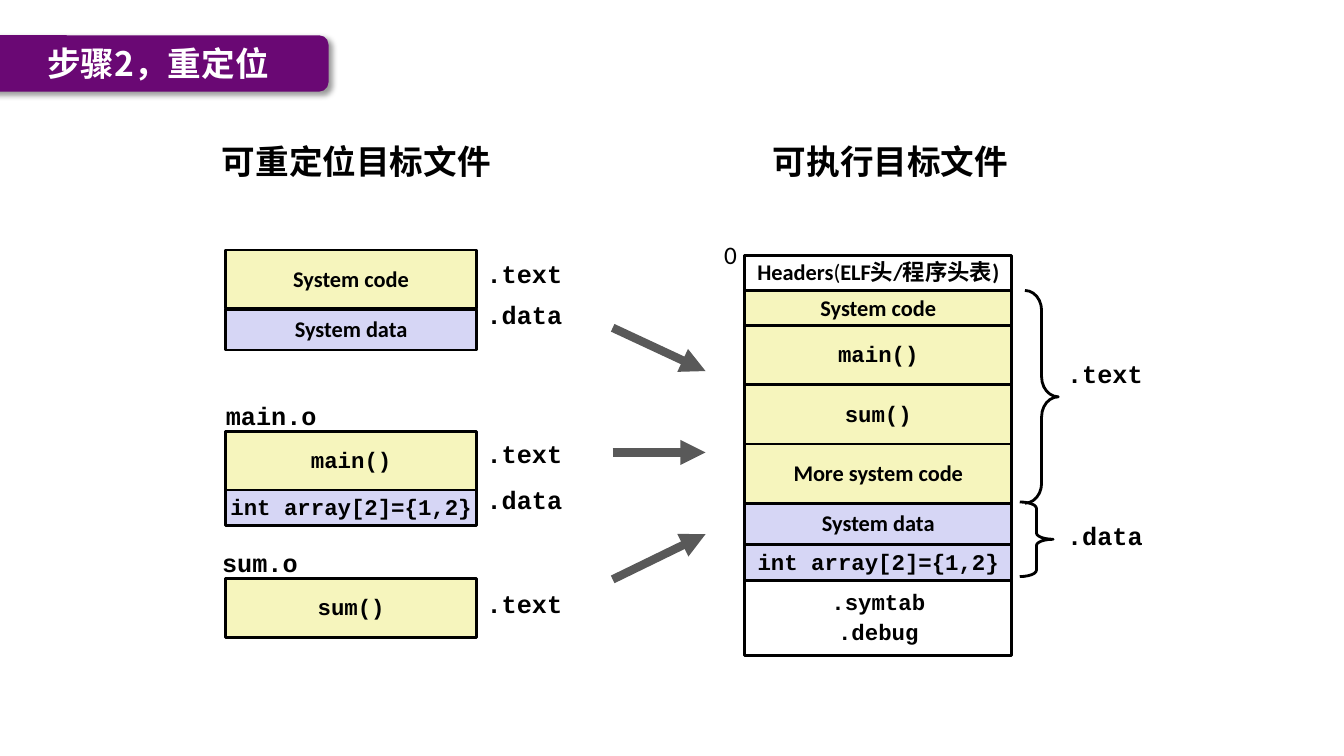
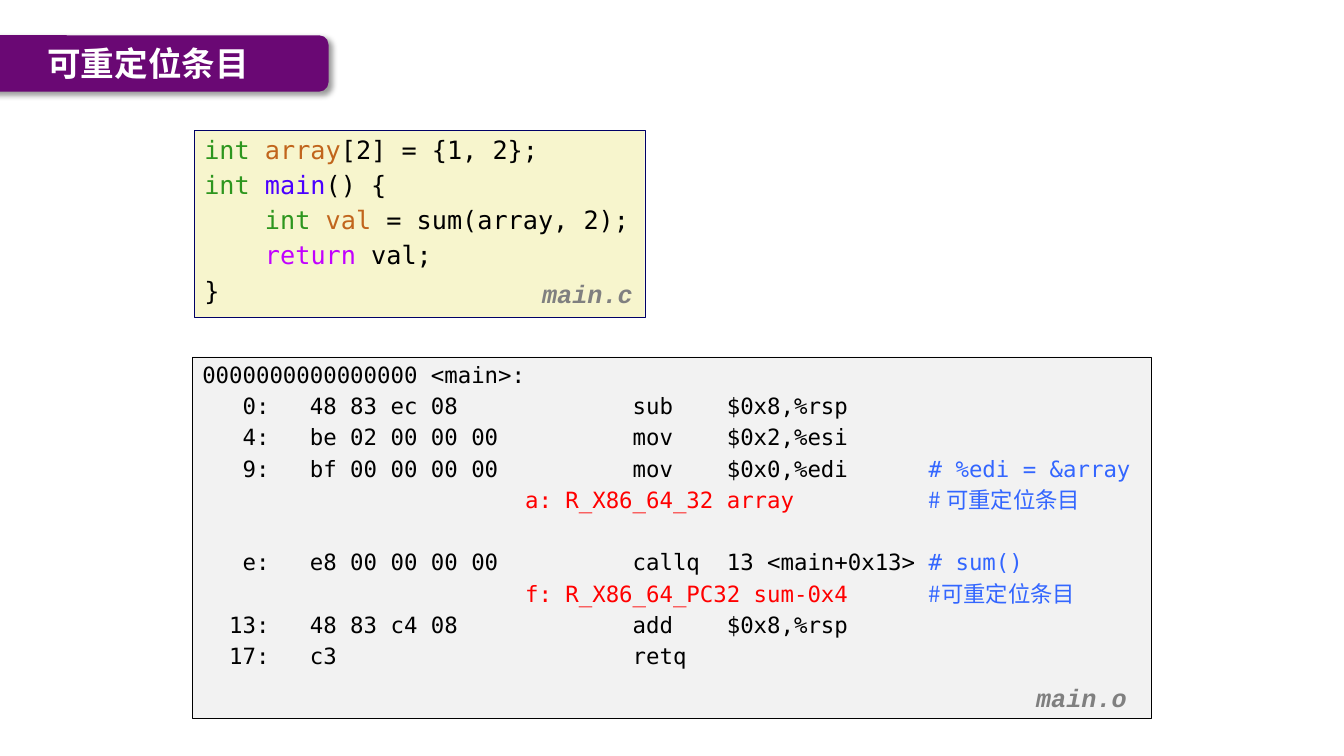
from lxml import etree
from pptx import Presentation
from pptx.dml.color import RGBColor
from pptx.enum.shapes import MSO_CONNECTOR, MSO_SHAPE
from pptx.enum.text import MSO_ANCHOR, PP_ALIGN
from pptx.oxml import parse_xml
from pptx.oxml.ns import nsdecls, qn
from pptx.util import Cm, Pt

RECTANGLE = MSO_SHAPE.RECTANGLE
ROUNDED = MSO_SHAPE.ROUNDED_RECTANGLE
BRACE = MSO_SHAPE.RIGHT_BRACE
STRAIGHT = MSO_CONNECTOR.STRAIGHT
CENTER, LEFT = PP_ALIGN.CENTER, PP_ALIGN.LEFT
TOP, MIDDLE = MSO_ANCHOR.TOP, MSO_ANCHOR.MIDDLE

BLACK = RGBColor(0x00, 0x00, 0x00)
WHITE = RGBColor(0xFF, 0xFF, 0xFF)
PURPLE = RGBColor(0x6A, 0x08, 0x74)
YELLOW = RGBColor(0xF6, 0xF5, 0xBD)
LAVENDER = RGBColor(0xD6, 0xD6, 0xF5)
DARK_GRAY = RGBColor(0x59, 0x59, 0x59)
MID_GRAY = RGBColor(0x80, 0x80, 0x80)
LIGHT_GRAY = RGBColor(0xF2, 0xF2, 0xF2)
CREAM = RGBColor(0xF7, 0xF5, 0xCD)
NAVY = RGBColor(0x00, 0x00, 0x66)
GREEN = RGBColor(0x2D, 0x96, 0x1E)
BROWN = RGBColor(0xC1, 0x65, 0x1C)
VIOLET = RGBColor(0x4A, 0x00, 0xFF)
MAGENTA = RGBColor(0xC2, 0x00, 0xFF)
RED = RGBColor(0xFF, 0x00, 0x00)
BLUE = RGBColor(0x33, 0x66, 0xFF)

SANS, COURIER = "Calibri", "Courier New"
MONO, CHINESE = "DejaVu Sans Mono", "Noto Sans CJK SC"


def add_run(paragraph, text, size, font, color=BLACK, bold=False, italic=False):
    run = paragraph.add_run()
    run.text = text
    run.font.size = Pt(size)
    run.font.bold = bold
    run.font.italic = italic
    run.font.color.rgb = color
    run.font.name = font
    east_asian = etree.SubElement(run.font._element, qn("a:ea"))
    east_asian.set("typeface", CHINESE)


def add_label(slide, text, left, top, width, height, size, font,
              fill=None, color=BLACK, bold=True, italic=False):
    """Add centred text, in an outlined rectangle if a fill is given."""
    bounds = Cm(left), Cm(top), Cm(width), Cm(height)
    if fill is None:
        shape = slide.shapes.add_textbox(*bounds)
    else:
        shape = slide.shapes.add_shape(RECTANGLE, *bounds)
        shape.shadow.inherit = False
        shape.fill.solid()
        shape.fill.fore_color.rgb = fill
        shape.line.color.rgb = BLACK
        shape.line.width = Pt(2)
    frame = shape.text_frame
    frame.word_wrap = False
    frame.vertical_anchor = TOP if fill is None else MIDDLE
    for index, line in enumerate(text.split("\n")):
        paragraph = frame.add_paragraph() if index else frame.paragraphs[0]
        paragraph.alignment = CENTER
        paragraph.line_spacing = 0.94 if font == COURIER else 0.98
        if index:
            paragraph.space_before = Pt(size * 0.2)
        add_run(paragraph, line, size, font, color, bold, italic)
    return shape


presentation = Presentation()
presentation.slide_width = Cm(33.87)
presentation.slide_height = Cm(19.05)
layout = presentation.slide_layouts[5]

# Shared title band and title position
title_holder = layout.placeholders[0]
title_holder.left, title_holder.top = Cm(0.94), Cm(0.89)
title_holder.width, title_holder.height = Cm(7.34), Cm(1.4)

slides = []
for title in ("步骤2，重定位", "可重定位条目"):
    slide = presentation.slides.add_slide(layout)
    frame = slide.shapes.title.text_frame
    frame.vertical_anchor = MIDDLE
    frame.paragraphs[0].alignment = LEFT
    add_run(frame.paragraphs[0], title, 24, CHINESE, WHITE, bold=True)
    slides.append(slide)
relocation, entries = slides

band = relocation.shapes.add_shape(ROUNDED, Cm(-0.51), Cm(0.89), Cm(8.79), Cm(1.42))
band.fill.solid()
band.fill.fore_color.rgb = PURPLE
band.line.fill.background()
band.element.spPr.append(parse_xml(
    f'<a:effectLst {nsdecls("a")}>'
    '<a:outerShdw blurRad="50800" dist="38100" dir="2700000" algn="tl" rotWithShape="0">'
    '<a:srgbClr val="000000"><a:alpha val="40000"/></a:srgbClr>'
    '</a:outerShdw></a:effectLst>'))
layout.shapes.element.insert(2, band.element)

# Slide 1: object files on the left, executable on the right
add_label(relocation, "可重定位目标文件", 5.31, 3.48, 7.34, 1.27, 24, CHINESE)
add_label(relocation, "可执行目标文件", 19.2, 3.48, 6.48, 1.27, 24, CHINESE)
for heading in list(relocation.shapes)[-2:]:
    heading.top = Cm(3.48)

for text, top, height, font, fill in (
    ("System code", 6.3, 1.48, SANS, YELLOW),
    ("System data", 7.8, 1.02, SANS, LAVENDER),
    ("main()", 10.87, 1.48, COURIER, YELLOW),
    ("int array[2]={1,2}", 12.35, 0.89, COURIER, LAVENDER),
    ("sum()", 14.58, 1.48, COURIER, YELLOW),
):
    add_label(relocation, text, 5.69, top, 6.32, height, 16, font, fill)

top = 6.43
for text, height, font, fill in (
    ("Headers", 0.89, SANS, WHITE),
    ("System code", 0.89, SANS, YELLOW),
    ("main()", 1.49, COURIER, YELLOW),
    ("sum()", 1.49, COURIER, YELLOW),
    ("More system code", 1.49, SANS, YELLOW),
    ("System data", 1.05, SANS, LAVENDER),
    ("int array[2]={1,2}", 0.89, COURIER, LAVENDER),
    (".symtab\n.debug", 1.9, COURIER, WHITE),
):
    section = add_label(relocation, text, 18.77, top, 6.73, height, 16, font, fill)
    if text == "Headers":
        paragraph = section.text_frame.paragraphs[0]
        add_run(paragraph, "(", 16, SANS)
        add_run(paragraph, "ELF头/程序头表)", 16, SANS, bold=True)
    top += height

for text, left, top, width in (
    ("main.o", 5.44, 10.03, 2.79),
    ("sum.o", 5.33, 13.74, 2.44),
    (".text", 12.01, 6.45, 2.41),
    (".data", 12.01, 7.47, 2.41),
    (".text", 12.01, 10.97, 2.41),
    (".data", 12.01, 12.14, 2.41),
    (".text", 12.01, 14.76, 2.41),
    (".text", 26.64, 8.97, 2.41),
    (".data", 26.64, 13.06, 2.41),
):
    add_label(relocation, text, left, top, width, 0.99, 18, COURIER)
add_label(relocation, "0", 17.98, 5.94, 0.86, 1.02, 18, SANS, bold=False)

for left, top, height, curve in ((25.83, 7.32, 5.36, 0.6), (25.7, 12.65, 1.88, 0.19)):
    brace = relocation.shapes.add_shape(BRACE, Cm(left), Cm(top), Cm(0.84), Cm(height))
    brace.shadow.inherit = False
    brace.adjustments[0] = curve
    brace.fill.background()
    brace.line.color.rgb = BLACK
    brace.line.width = Pt(2)

for start, end in ((8.26, 9.35), (11.4, 11.4), (14.6, 13.46)):
    arrow = relocation.shapes.add_connector(
        STRAIGHT, Cm(15.44), Cm(start), Cm(17.78), Cm(end))
    arrow.line.color.rgb = DARK_GRAY
    arrow.line.width = Pt(6)
    etree.SubElement(arrow.line._get_or_add_ln(), qn("a:tailEnd")).set("type", "triangle")
    etree.SubElement(arrow.element.spPr, qn("a:effectLst"))

# Slide 2: C source and its disassembly, as lines of (text, colour) runs
source_lines = (
    (("int ", GREEN), ("array", BROWN), ("[2] = {1, 2};", BLACK)),
    (("int ", GREEN), ("main", VIOLET), ("() {", BLACK)),
    (("    int ", GREEN), ("val", BROWN), (" = sum(array, 2);", BLACK)),
    (("    return", MAGENTA), (" val;", BLACK)),
    (("}", BLACK),),
)
assembly_lines = (
    (("0000000000000000 <main>:", BLACK),),
    (("   0:   48 83 ec 08             sub    $0x8,%rsp", BLACK),),
    (("   4:   be 02 00 00 00          mov    $0x2,%esi", BLACK),),
    (("   9:   bf 00 00 00 00          mov    $0x0,%edi      ", BLACK),
     ("# %edi = &array", BLUE)),
    (("                        a: R_X86_64_32 array          ", RED),
     ("# 可重定位条目", BLUE)),
    (("   e:   e8 00 00 00 00          callq  13 <main+0x13> ", BLACK),
     ("# sum()", BLUE)),
    (("                        f: R_X86_64_PC32 sum-0x4      ", RED),
     ("#可重定位条目", BLUE)),
    (("  13:   48 83 c4 08             add    $0x8,%rsp", BLACK),),
    (("  17:   c3                      retq", BLACK),),
)
CALL_LINE = assembly_lines[5]

for lines, size, left, top, width, height, fill, outline, name, name_left, name_top in (
    (assembly_lines, 16, 4.85, 8.99, 24.16, 9.12, LIGHT_GRAY, BLACK, "main.o", 25.86, 17.12),
    (source_lines, 18, 4.9, 3.28, 11.35, 4.72, CREAM, NAVY, "main.c", 13.41, 6.96),
):
    listing = entries.shapes.add_shape(RECTANGLE, Cm(left), Cm(top), Cm(width), Cm(height))
    listing.shadow.inherit = False
    listing.fill.solid()
    listing.fill.fore_color.rgb = fill
    listing.line.color.rgb = outline
    listing.line.width = Pt(0.25)
    frame = listing.text_frame
    frame.word_wrap = True
    frame.vertical_anchor = TOP
    line_height = size * 1.164
    for index, line in enumerate(lines):
        paragraph = frame.add_paragraph() if index else frame.paragraphs[0]
        paragraph.alignment = LEFT
        paragraph.line_spacing = Pt(line_height)
        if index:
            # The call is set apart by the height of one more line
            gap = 1.4 if line is CALL_LINE else 0.2
            paragraph.space_before = Pt(line_height * gap)
        for text, color in line:
            font = CHINESE if text.endswith("条目") else MONO
            add_run(paragraph, text, size, font, color)
    add_label(entries, name, name_left, name_top, 2.79, 0.99, 18, COURIER,
              color=MID_GRAY, italic=True)

presentation.save("out.pptx")
